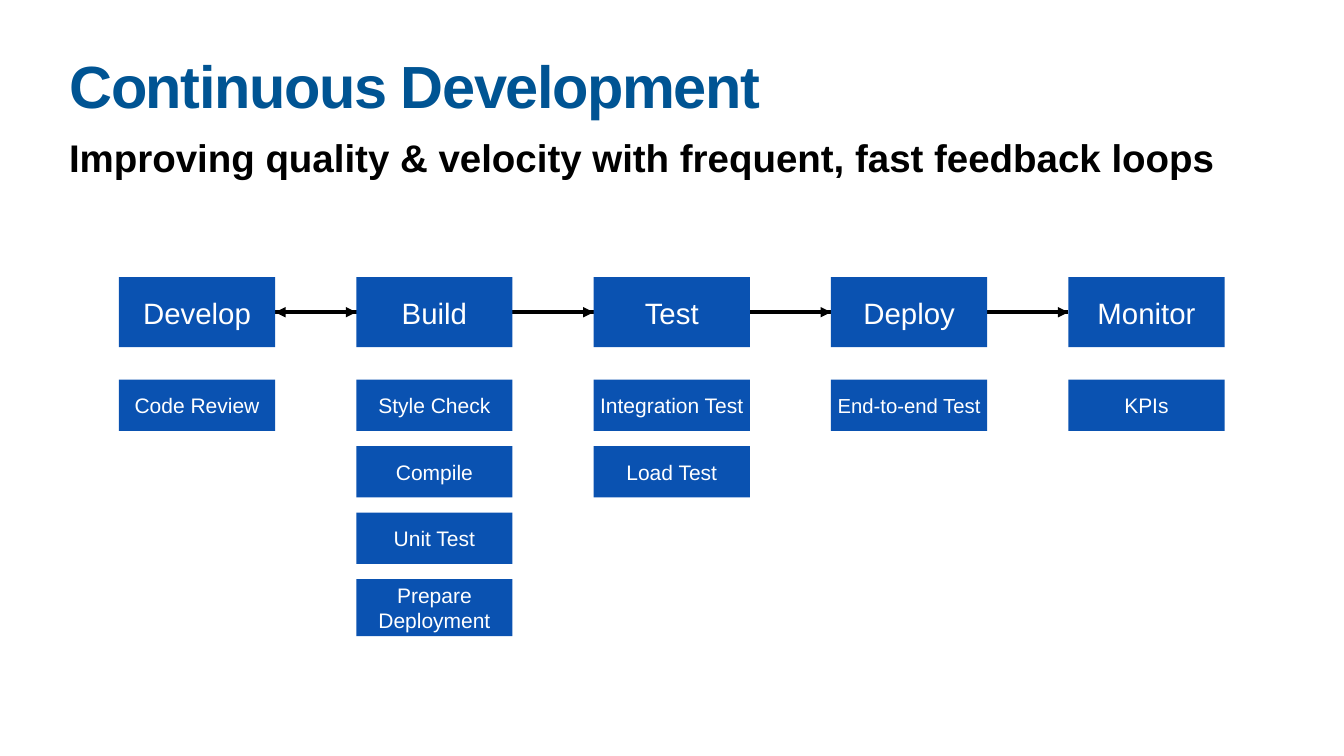
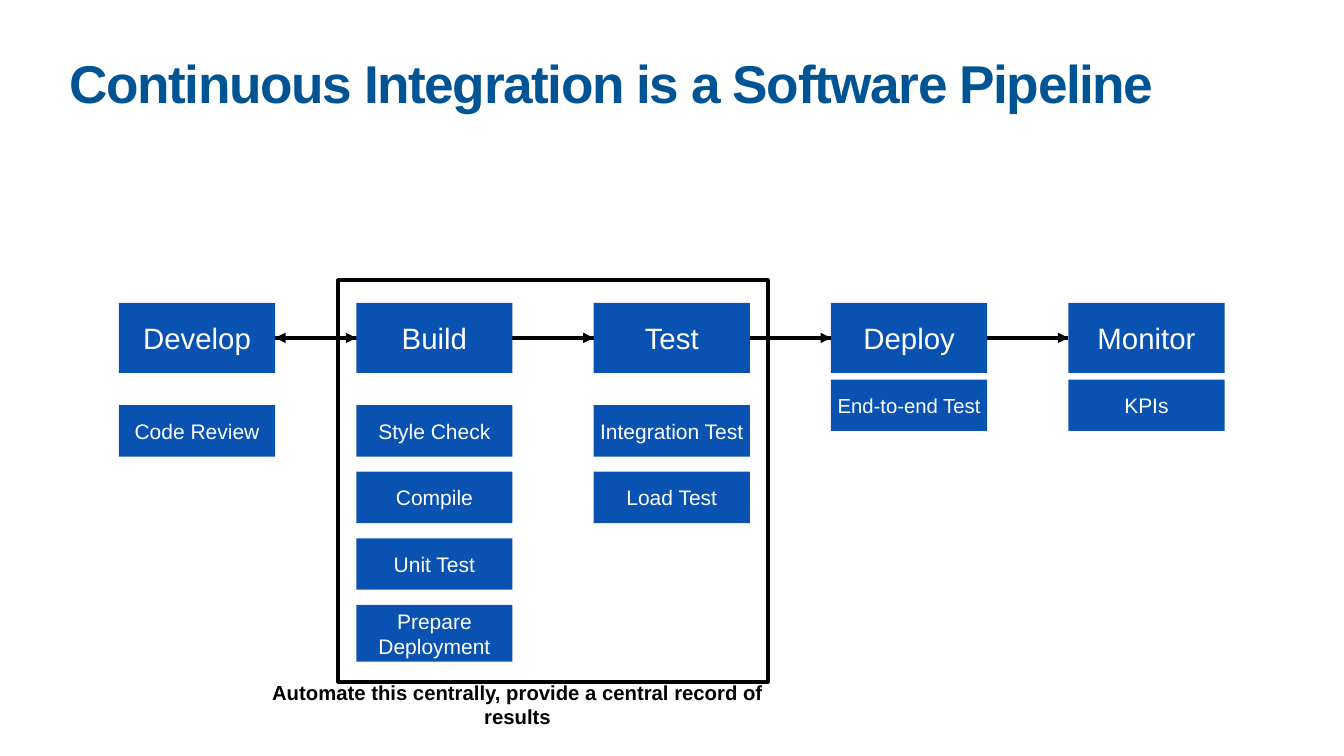
from lxml import etree
from pptx import Presentation
from pptx import util as u
from pptx.dml.color import RGBColor
from pptx.enum import shapes, text
from pptx.oxml.ns import qn

WIDE, HIGH = 26.67, 15
BLUE, NAVY, BLACK, WHITE = "0A52B1", "005493", "000000", "FFFFFF"
LEFT, STEP, SPAN = 2.36, 4.71, 3.1
DROP, PITCH = 2.03, 1.32
TOP, LOW, TALL = 1.39, 1.02, 1.13

STAGES = {
    "Develop": ["Code Review"],
    "Build": ["Style Check", "Compile", "Unit Test", "Prepare Deployment"],
    "Test": ["Integration Test", "Load Test"],
    "Deploy": ["End-to-end Test"],
    "Monitor": ["KPIs"],
}
SIZES = {"End-to-end Test": 29}
TALLER = {"Prepare Deployment": TALL}


def color(code):
    return RGBColor.from_string(code)


def apply(item, values):
    for name, value in values.items():
        setattr(item, name, value)


class Deck:
    def __init__(self):
        self.prs = Presentation()
        apply(self.prs, {"slide_width": u.Inches(WIDE), "slide_height": u.Inches(HIGH)})
        self.slide = None

    def place(self, *spot):
        return [u.Inches(n) for n in spot]

    def letter(self, shape, words, size, tint, bold=False, align="CENTER",
               anchor="MIDDLE", inset=0.06):
        frame = shape.text_frame
        frame.text = words
        sides = ("left", "top", "right", "bottom")
        apply(frame, {f"margin_{side}": u.Inches(inset) for side in sides})
        apply(frame, {
            "word_wrap": True,
            "auto_size": text.MSO_AUTO_SIZE.NONE,
            "vertical_anchor": text.MSO_ANCHOR[anchor],
        })
        line = frame.paragraphs[0]
        line.alignment = text.PP_ALIGN[align]
        font = line.runs[0].font
        apply(font, {"name": "Arial", "size": u.Pt(size), "bold": bold})
        font.color.rgb = color(tint)
        return line

    def title(self, words, size):
        self.slide = self.prs.slides.add_slide(self.prs.slide_layouts[5])
        head = self.slide.shapes.title
        spot = self.place(1.32, 1.18, 24.03, 1.57)
        apply(head, dict(zip(("left", "top", "width", "height"), spot)))
        line = self.letter(head, words, size, NAVY, True, "LEFT", "TOP")
        line.line_spacing = 0.8
        line.runs[0].font._element.set("spc", "-200")

    def label(self, spot, words, size, **style):
        box = self.slide.shapes.add_textbox(*self.place(*spot))
        self.letter(box, words, size, BLACK, True, **style)

    def rect(self, spot, fill=None, edge=None):
        box = self.slide.shapes.add_shape(shapes.MSO_SHAPE.RECTANGLE, *self.place(*spot))
        box.shadow.inherit = False
        if fill:
            box.fill.solid()
            box.fill.fore_color.rgb = color(fill)
        else:
            box.fill.background()
        if edge:
            box.line.color.rgb = color(edge)
            box.line.width = u.Pt(5)
        else:
            box.line.fill.background()
        return box

    def block(self, col, top, high, words, size):
        box = self.rect((LEFT + col * STEP, top, SPAN, high), BLUE)
        self.letter(box, words, size, WHITE)
        return box

    def arrow(self):
        link = self.slide.shapes.add_connector(shapes.MSO_CONNECTOR.STRAIGHT, 0, 0, 0, 0)
        link.line.color.rgb = color(BLACK)
        link.line.width = u.Pt(5)
        props = link._element.spPr
        etree.SubElement(props.find(qn("a:ln")), qn("a:tailEnd"), type="triangle")
        etree.SubElement(props, qn("a:effectLst"))
        return link

    def flow(self, top, lifts):
        last = len(STAGES) - 1
        links = [self.arrow() for _ in range(last)]
        loop = self.arrow()
        heads = []
        for col, (stage, tasks) in enumerate(STAGES.items()):
            heads.append(self.block(col, top, TOP, stage, 42))
            start = top + DROP - lifts.get(stage, 0)
            for row, task in enumerate(tasks):
                self.block(col, start + row * PITCH, TALLER.get(task, LOW),
                           task, SIZES.get(task, 30))
        for link, near, far in zip(links, heads, heads[1:]):
            link.begin_connect(near, 3)
            link.end_connect(far, 1)
        loop.begin_connect(heads[last], 1)
        loop.end_connect(heads[0], 3)


def main():
    deck = Deck()
    deck.title("Continuous Development", 85)
    deck.label((1.32, 2.6, 24.03, 1.02),
               "Improving quality & velocity with frequent, fast feedback loops",
               55, align="LEFT", anchor="TOP", inset=0.05)
    deck.flow(5.5, {})

    deck.title("Continuous Integration is a Software Pipeline", 76)
    deck.rect((6.71, 5.56, 8.53, 7.97), edge=BLACK)
    deck.flow(6.01, {"Deploy": 0.51, "Monitor": 0.51})
    deck.label((5.27, 13.47, 10, 1),
               "Automate this centrally, provide a central record of results", 29)
    deck.prs.save("out.pptx")


if __name__ == "__main__":
    main()
